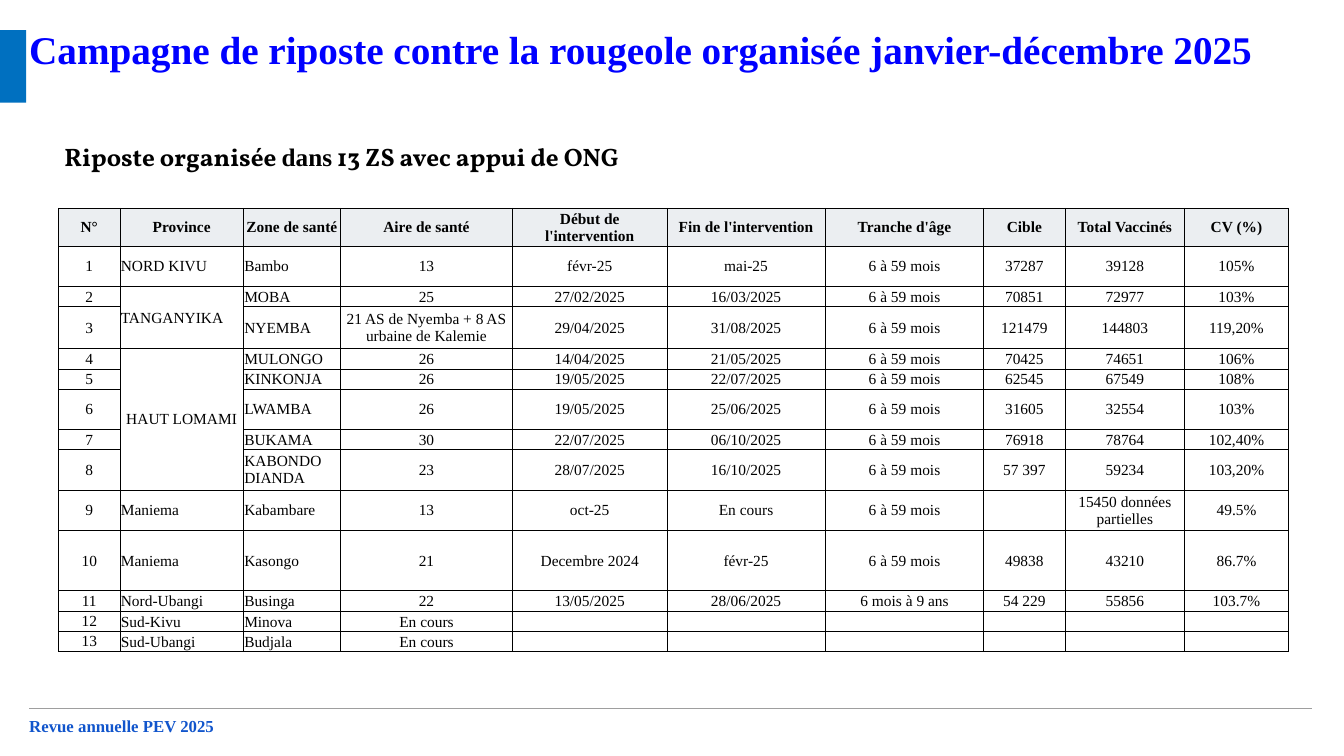
from pptx import Presentation
from pptx.dml.color import RGBColor
from pptx.enum.shapes import MSO_CONNECTOR as LINE, MSO_SHAPE as SHAPE
from pptx.enum.text import MSO_ANCHOR as ANCHOR, PP_ALIGN as ALIGN
from pptx.oxml import parse_xml
from pptx.oxml.ns import nsdecls
from pptx.util import Pt

SERIF = "Times New Roman"


def color(code):
    return RGBColor.from_string(code)


def write(frame, text, size=11, font=SERIF, ink="000000", bold=False, align=ALIGN.LEFT):
    """Add a run to the first paragraph of a text frame."""
    para = frame.paragraphs[0]
    para.alignment = align
    run = para.add_run()
    run.text = text
    run.font.size, run.font.name, run.font.bold = Pt(size), font, bold
    run.font.color.rgb = color(ink)


deck = Presentation()
deck.slide_width, deck.slide_height = Pt(960), Pt(540)
slide = deck.slides.add_slide(deck.slide_layouts[6])
shapes = slide.shapes

# Title, side bar and footer
title = shapes.add_textbox(Pt(20.9), Pt(18), Pt(931.7), Pt(42.5)).text_frame
foot = shapes.add_textbox(Pt(20.9), Pt(511.2), Pt(898.6), Pt(14.4)).text_frame
for frame in (title, foot):
    frame.word_wrap = True
    frame.margin_left = frame.margin_top = frame.margin_right = frame.margin_bottom = 0
foot.margin_right = Pt(9.4)
write(title, "Campagne de riposte contre la rougeole organisée janvier-décembre 2025",
      size=28, ink="0000FF", bold=True)
write(foot, "Revue annuelle PEV 2025", size=12, ink="1155CC", bold=True)

bar = shapes.add_shape(SHAPE.RECTANGLE, 0, Pt(21.6), Pt(18.7), Pt(51.8))
bar.shadow.inherit = False
bar.fill.solid()
bar.fill.fore_color.rgb = color("0070C0")
bar.line.fill.background()

rule = shapes.add_connector(LINE.STRAIGHT, Pt(20.9), Pt(506.2), Pt(937.4), Pt(506.2))
rule.line.color.rgb = color("9E9E9E")
rule.line.width = Pt(0.75)
rule._element.spPr.append(parse_xml(f"<a:effectLst {nsdecls('a')}/>"))

# Subtitle
lead = shapes.add_textbox(Pt(38.9), Pt(97.2), Pt(478), Pt(28.8)).text_frame
lead.word_wrap = True
for text, font in (("Riposte organisée ", "Vollkorn"), ("dans", SERIF),
                   (" 13 ZS avec appui de ONG", "Vollkorn")):
    write(lead, text, size=18, font=font, bold=True)

# Campaign table
AGE = "6 à 59 mois"
rows = [
    ("N°", "Province", "Zone de santé", "Aire de santé", "Début de l'intervention",
     "Fin de l'intervention", "Tranche d'âge", "Cible", "Total Vaccinés", "CV (%)"),
    ("1", "NORD KIVU", "Bambo", "13", "févr-25", "mai-25", AGE, "37287", "39128", "105%"),
    ("2", "TANGANYIKA", "MOBA", "25", "27/02/2025", "16/03/2025", AGE, "70851", "72977", "103%"),
    ("3", "", "NYEMBA", "21 AS de Nyemba + 8 AS urbaine de Kalemie", "29/04/2025",
     "31/08/2025", AGE, "121479", "144803", "119,20%"),
    ("4", "HAUT LOMAMI", "MULONGO", "26", "14/04/2025", "21/05/2025", AGE,
     "70425", "74651", "106%"),
    ("5", "", "KINKONJA", "26", "19/05/2025", "22/07/2025", AGE, "62545", "67549", "108%"),
    ("6", "", "LWAMBA", "26", "19/05/2025", "25/06/2025", AGE, "31605", "32554", "103%"),
    ("7", "", "BUKAMA", "30", "22/07/2025", "06/10/2025", AGE, "76918", "78764", "102,40%"),
    ("8", "", "KABONDO DIANDA", "23", "28/07/2025", "16/10/2025", AGE,
     "57 397", "59234", "103,20%"),
    ("9", "Maniema", "Kabambare", "13", "oct-25", "En cours", AGE, "",
     "15450 données partielles", "49.5%"),
    ("10", "Maniema", "Kasongo", "21", "Decembre 2024", "févr-25", AGE,
     "49838", "43210", "86.7%"),
    ("11", "Nord-Ubangi", "Businga", "22", "13/05/2025", "28/06/2025", "6 mois à 9 ans",
     "54 229", "55856", "103.7%"),
    ("12", "Sud-Kivu", "Minova", "En cours") + ("",) * 6,
    ("13", "Sud-Ubangi", "Budjala", "En cours") + ("",) * 6,
]
widths = [43.9, 88.2, 69.3, 123, 110.2, 113.2, 113.2, 58, 85.6, 73.9]
heights = [26.4, 28.8, 14.4, 30.2, 14.4, 14.4, 28.8, 14.4, 28.8, 28.8, 43.2, 14.4, 14.4, 14.4]

table = shapes.add_table(len(rows), len(widths), Pt(41.8), Pt(148.7),
                         Pt(sum(widths)), Pt(sum(heights))).table
table.first_row = table.horz_banding = False
for col, width in zip(table.columns, widths):
    col.width = Pt(width)
for row, height in zip(table.rows, heights):
    row.height = Pt(height)

for r, row in enumerate(rows):
    for c, text in enumerate(row):
        cell = table.cell(r, c)
        cell.margin_left = cell.margin_top = cell.margin_right = Pt(0.6)
        cell.margin_bottom = 0
        low = r >= 12 and c > 0
        cell.vertical_anchor = ANCHOR.BOTTOM if low else ANCHOR.MIDDLE
        props = cell._tc.get_or_add_tcPr()
        for side in ("lnL", "lnR", "lnT", "lnB"):
            props.append(parse_xml(
                f'<a:{side} {nsdecls("a")} w="{Pt(0.5)}"><a:solidFill>'
                f'<a:srgbClr val="000000"/></a:solidFill></a:{side}>'))
        if r == 0:
            cell.fill.solid()
            cell.fill.fore_color.rgb = color("EBEEF1")
        else:
            cell.fill.background()
        if text:
            left = r > 0 and c in (1, 2) and text != "HAUT LOMAMI"
            write(cell.text_frame, text, bold=r == 0,
                  align=ALIGN.LEFT if left else ALIGN.CENTER)
        else:
            cell.text_frame.paragraphs[0]._p.append(
                parse_xml(f'<a:endParaRPr {nsdecls("a")} sz="1100"/>'))

for first, last in ((2, 3), (4, 8)):
    table.cell(first, 1).merge(table.cell(last, 1))

deck.save("out.pptx")
